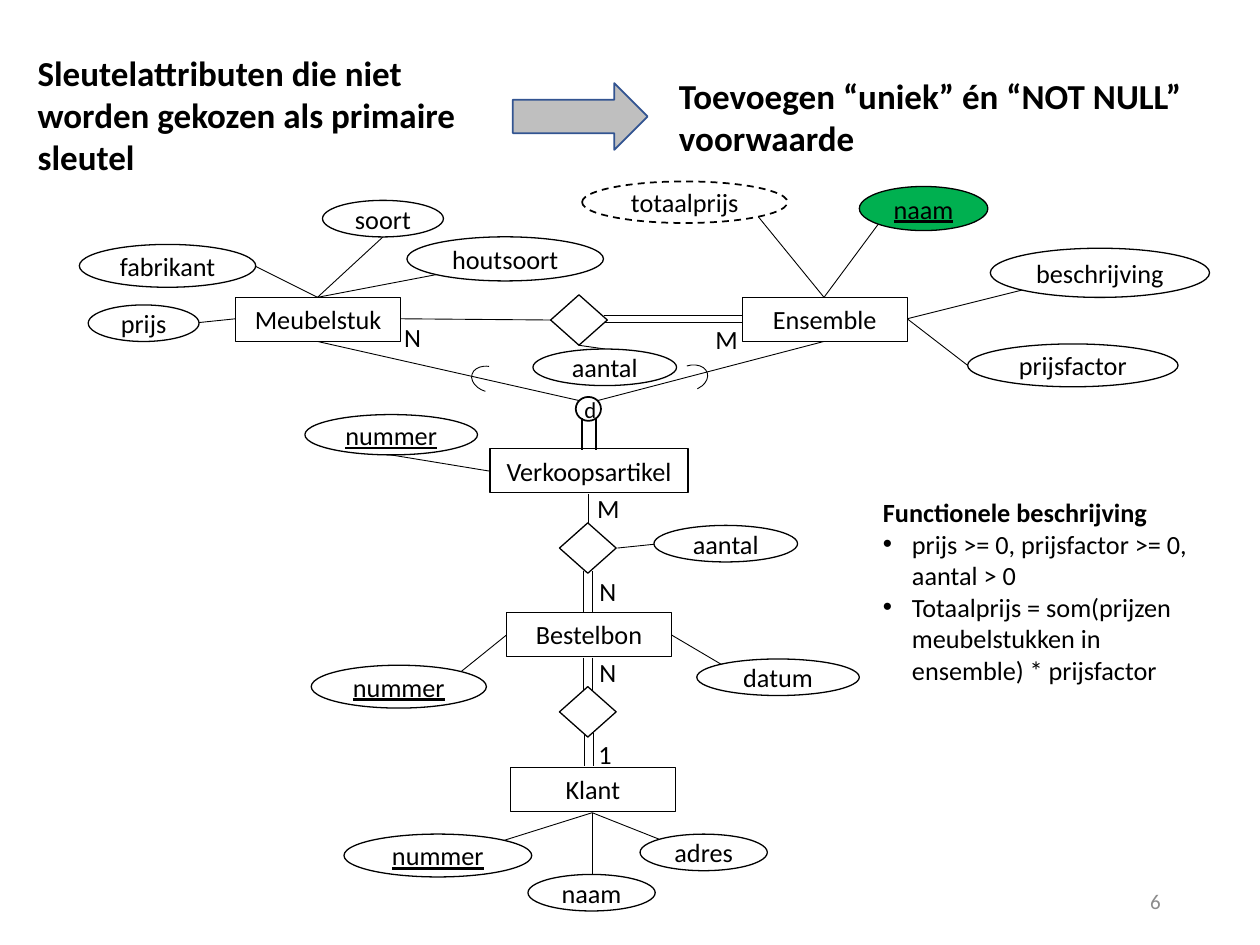
from typing import NamedTuple

from lxml.etree import SubElement
from pptx import Presentation
from pptx.dml.color import RGBColor
from pptx.enum.dml import MSO_LINE
from pptx.enum.shapes import MSO_CONNECTOR, MSO_SHAPE
from pptx.enum.text import MSO_ANCHOR, PP_ALIGN
from pptx.oxml.ns import qn
from pptx.util import Inches, Pt

FONT = "Calibri"
COLORS = {"ink": "000000", "paper": "FFFFFF", "key": "00B050",
          "arrow": "BFBFBF", "edge": "325491", "page": "8C8C8C"}


class Box(NamedTuple):
    left: float
    top: float
    width: float
    height: float


class Oval(NamedTuple):
    text: str
    box: Box
    key: bool = False
    fill: str | None = "paper"
    dash: bool = False


class Fan(NamedTuple):
    """Lines that run from one hub to several ends."""
    hub: tuple
    ends: list


class Label(NamedTuple):
    text: str
    box: Box


ENTITIES = [
    Label("Meubelstuk", Box(1.87, 2.36, 1.31, 0.35)),
    Label("Ensemble", Box(5.89, 2.36, 1.31, 0.35)),
    Label("Verkoopsartikel", Box(3.89, 3.56, 1.57, 0.35)),
    Label("Bestelbon", Box(4.02, 4.86, 1.31, 0.35)),
    Label("Klant", Box(4.05, 6.09, 1.31, 0.35)),
]
OVALS = [
    Oval("soort", Box(2.56, 1.59, 0.96, 0.29)),
    Oval("houtsoort", Box(3.23, 1.88, 1.56, 0.35)),
    Oval("fabrikant", Box(0.63, 1.94, 1.4, 0.34)),
    Oval("prijs", Box(0.7, 2.42, 0.88, 0.29)),
    Oval("totaalprijs", Box(4.62, 1.44, 1.63, 0.33), dash=True),
    Oval("naam", Box(6.82, 1.48, 1.02, 0.35), key=True, fill="key"),
    Oval("beschrijving", Box(7.86, 1.97, 1.74, 0.39)),
    Oval("prijsfactor", Box(7.68, 2.73, 1.67, 0.34)),
    Oval("aantal", Box(4.23, 2.77, 1.14, 0.29)),
    Oval("nummer", Box(2.42, 3.29, 1.37, 0.32), key=True, fill=None),
    Oval("aantal", Box(5.19, 4.17, 1.14, 0.29)),
    Oval("nummer", Box(2.47, 5.28, 1.39, 0.34), key=True),
    Oval("datum", Box(5.53, 5.23, 1.29, 0.29)),
    Oval("nummer", Box(2.73, 6.62, 1.49, 0.34), key=True),
    Oval("naam", Box(4.19, 6.94, 1.01, 0.29)),
    Oval("adres", Box(5.08, 6.62, 1.01, 0.29)),
]
FANS = [
    Fan((2.52, 2.36), [(3.04, 1.88), (3.46, 2.18), (2.02, 2.11)]),
    Fan((1.87, 2.53), [(1.58, 2.56)]),
    Fan((6.54, 2.36), [(6.97, 1.78), (6.01, 1.71)]),
    Fan((7.2, 2.53), [(8.12, 2.3), (7.68, 2.9)]),
    Fan((4.59, 2.74), [(4.8, 2.77)]),
    Fan((3.18, 2.53), [(4.37, 2.54)]),
    Fan((2.52, 2.71), [(4.6, 3.18)]),
    Fan((6.54, 2.71), [(4.74, 3.18)]),
    Fan((3.89, 3.74), [(3.1, 3.61)]),
    Fan((4.67, 3.92), [(4.67, 4.15)]),
    Fan((4.9, 4.35), [(5.19, 4.32)]),
    Fan((4.02, 5.04), [(3.66, 5.33)]),
    Fan((5.33, 5.04), [(5.72, 5.27)]),
    Fan((4.7, 6.45), [(4, 6.67), (4.7, 6.94), (5.23, 6.66)]),
]
# Left x, gap, top y, bottom y, line width of each upright pair
PAIRS = [(4.62, 0.11, 3.32, 3.57, 1), (4.63, 0.07, 4.53, 4.86, 0.5),
         (4.63, 0.07, 5.22, 5.48, 0.5), (4.64, 0.07, 5.82, 6.08, 0.5)]
DIAMONDS = [(4.37, 2.34), (4.44, 4.15), (4.44, 5.45)]
ARCS = [(3.74, 2.91, 196.4), (5.34, 2.9, 343.2)]
COUNTS = [
    Label("N", Box(3.11, 2.5, 0.34, 0.35)),
    Label("M", Box(5.58, 2.52, 0.38, 0.35)),
    Label("M", Box(4.64, 3.86, 0.38, 0.35)),
    Label("N", Box(4.66, 4.52, 0.34, 0.35)),
    Label("N", Box(4.66, 5.16, 0.34, 0.35)),
    Label("1", Box(4.65, 5.81, 0.31, 0.35)),
]
TITLES = [
    Label("Sleutelattributen die niet worden gekozen als primaire sleutel",
          Box(0.2, 0.36, 4.04, 1.11)),
    Label("Toevoegen “uniek” én “NOT NULL” voorwaarde",
          Box(5.29, 0.54, 4.85, 0.77)),
]
RULES = ["Functionele beschrijving",
         "prijs >= 0, prijsfactor >= 0, aantal > 0",
         "Totaalprijs = som(prijzen meubelstukken in ensemble) * prijsfactor"]


def tint(name: str) -> RGBColor:
    return RGBColor.from_string(COLORS[name])


def style(para, size: float = 15, bold: bool = False, color: str = "ink",
          under: bool = False, align=PP_ALIGN.LEFT) -> None:
    para.alignment = align
    for run in para.runs:
        font = run.font
        font.name, font.size, font.bold = FONT, Pt(size), bold
        font.color.rgb = tint(color)
        if under:
            font.underline = True


def add_shape(slide, kind, box: Box, fill: str | None = None,
              line: str = "ink", width: float = 0.75):
    shape = slide.shapes.add_shape(kind, *map(Inches, box))
    shape.shadow.inherit = False
    if fill:
        shape.fill.solid()
        shape.fill.fore_color.rgb = tint(fill)
    else:
        shape.fill.background()
    shape.line.color.rgb = tint(line)
    shape.line.width = Pt(width)
    return shape


def add_name(shape, text: str, under: bool = False) -> None:
    """Centre a name in a shape, with the full width free for it."""
    frame = shape.text_frame
    frame.text = text
    frame.margin_left = frame.margin_right = 0
    frame.vertical_anchor = MSO_ANCHOR.MIDDLE
    style(frame.paragraphs[0], under=under, align=PP_ALIGN.CENTER)


def add_line(slide, start: tuple, end: tuple, width: float = 0.5) -> None:
    line = slide.shapes.add_connector(
        MSO_CONNECTOR.STRAIGHT, *map(Inches, (*start, *end)))
    line.line.color.rgb = tint("ink")
    line.line.width = Pt(width)
    SubElement(line._element.spPr, qn("a:effectLst"))


def add_text(slide, text: str, box: Box, wrap: bool = True, **look):
    frame = slide.shapes.add_textbox(*map(Inches, box)).text_frame
    frame.word_wrap = wrap
    frame.text = text
    for para in frame.paragraphs:
        style(para, **look)
    return frame


def add_bullet(para) -> None:
    props = para._p.get_or_add_pPr()
    props.set("marL", str(Inches(0.23)))
    props.set("indent", str(-Inches(0.23)))
    SubElement(props, qn("a:buFont"), typeface="Arial")
    SubElement(props, qn("a:buChar"), char="•")


def main() -> None:
    deck = Presentation()
    deck.slide_width, deck.slide_height = Inches(10), Inches(7.5)
    slide = deck.slides.add_slide(deck.slide_layouts[6])

    add_shape(slide, MSO_SHAPE.RIGHT_ARROW, Box(4.07, 0.66, 1.07, 0.53),
              "arrow", "edge", 1)
    for title in TITLES:
        add_text(slide, *title, size=20, bold=True)

    for hub, ends in FANS:
        for end in ends:
            add_line(slide, hub, end)
    for left, gap, top, base, width in PAIRS:
        for x in (left, left + gap):
            add_line(slide, (x, top), (x, base), width)
    for y in (2.5, 2.56):
        add_line(slide, (4.79, y), (5.89, y))

    for text, box in ENTITIES:
        add_name(add_shape(slide, MSO_SHAPE.RECTANGLE, box), text)
    for oval in OVALS:
        shape = add_shape(slide, MSO_SHAPE.OVAL, oval.box, oval.fill)
        add_name(shape, oval.text, oval.key)
        if oval.dash:
            shape.line.dash_style = MSO_LINE.DASH
            shape.line.width = Pt(1)
    for left, top in DIAMONDS:
        add_shape(slide, MSO_SHAPE.DIAMOND, Box(left, top, 0.45, 0.4), "paper")
    for left, top, turn in ARCS:
        arc = add_shape(slide, MSO_SHAPE.ARC, Box(left, top, 0.28, 0.2), width=0.5)
        arc.adjustments[0], arc.adjustments[1] = 162, 44.44
        arc.rotation = turn
    add_shape(slide, MSO_SHAPE.OVAL, Box(4.57, 3.15, 0.2, 0.19), width=1)
    sign = add_text(slide, "d", Box(4.6, 3.09, 0.17, 0.32), size=13,
                    align=PP_ALIGN.CENTER)
    sign.margin_left = sign.margin_right = 0
    for count in COUNTS:
        add_text(slide, *count, wrap=False)

    rules = add_text(slide, "\n".join(RULES), Box(6.91, 3.89, 2.7, 1.62))
    head, *items = rules.paragraphs
    style(head, bold=True)
    for item in items:
        add_bullet(item)
    page = add_text(slide, "6", Box(7.06, 6.95, 2.25, 0.4), size=12,
                    color="page", align=PP_ALIGN.RIGHT)
    page.vertical_anchor = MSO_ANCHOR.MIDDLE
    deck.save("out.pptx")


if __name__ == "__main__":
    main()
